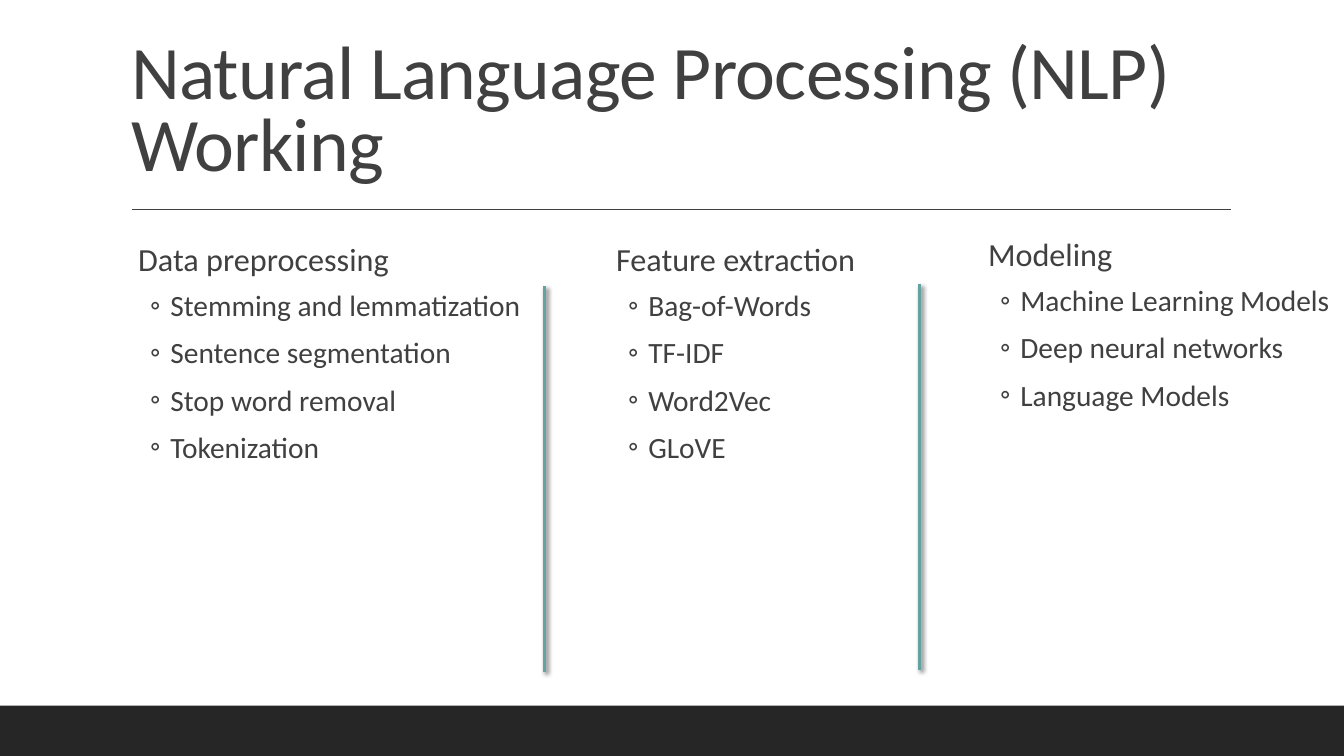
import dataclasses

import pptx
import pptx.dml.color
import pptx.enum.shapes
import pptx.enum.text
import pptx.oxml
import pptx.oxml.ns
import pptx.util
from pptx.util import Inches

Pt = pptx.util.Pt
NAMESPACE = pptx.oxml.ns.nsdecls("a")


@dataclasses.dataclass(frozen=True)
class Theme:
    font: str = "Calibri"
    ink: str = "404040"
    footer: str = "262626"
    divider: str = "62A39F"
    bullet: str = "1CADE4"
    title_size: int = 54
    heading_size: int = 23
    item_size: int = 21


THEME = Theme()

# Left, top, width, heading and items of each column
COLUMNS = [
    (1.27, 2.29, 4.22, "Data preprocessing",
     ["Stemming and lemmatization", "Sentence segmentation",
      "Stop word removal", "Tokenization"]),
    (6.01, 2.29, 4.22, "Feature extraction",
     ["Bag-of-Words", "TF-IDF", "Word2Vec", "GLoVE"]),
    (9.7, 2.24, 3.63, "Modeling",
     ["Machine Learning Models", "Deep neural networks", "Language Models"]),
]
COLUMN_HEIGHT = 4.11
DIVIDERS = [(5.4, 2.84), (9.12, 2.82)]
DIVIDER_HEIGHT = 3.83

HEADING_FORMAT = {"level": 0, "line_spacing": 1.1,
                  "space_before": Pt(12), "space_after": Pt(2)}
ITEM_FORMAT = {"level": 1, "line_spacing": 1.1,
               "space_before": Pt(2), "space_after": Pt(4)}


def rgb(value):
    return pptx.dml.color.RGBColor.from_string(value)


def set_values(target, values):
    for name, value in values.items():
        setattr(target, name, value)


def add_span(para, text, size):
    span = para.add_run()
    span.text = text
    set_values(span.font, {"name": THEME.font, "size": Pt(size)})
    span.font.color.rgb = rgb(THEME.ink)
    return span


def set_bullet(para, symbol, color, margin, hanging):
    properties = para._p.get_or_add_pPr()
    properties.set("marL", str(Inches(margin)))
    properties.set("indent", str(-Inches(hanging)))
    for markup in (
        f'<a:buClr {NAMESPACE}><a:srgbClr val="{color}"/></a:buClr>',
        f'<a:buFont {NAMESPACE} typeface="{THEME.font}"/>',
        f'<a:buChar {NAMESPACE} char="{symbol}"/>',
    ):
        properties.append(pptx.oxml.parse_xml(markup))


def add_footer_band(page):
    band = page.shapes.add_shape(
        pptx.enum.shapes.MSO_SHAPE.RECTANGLE,
        Inches(0), Inches(7), Inches(13.33), Inches(0.5))
    band.shadow.inherit = False
    band.fill.solid()
    band.fill.fore_color.rgb = rgb(THEME.footer)
    band.line.fill.background()


def add_line(page, start, end, color, width, shadow=""):
    line = page.shapes.add_connector(
        pptx.enum.shapes.MSO_CONNECTOR.STRAIGHT,
        *(Inches(value) for value in (*start, *end)))
    line.line.color.rgb = rgb(color)
    line.line.width = Pt(width)
    line._element.spPr.append(pptx.oxml.parse_xml(
        f"<a:effectLst {NAMESPACE}>{shadow}</a:effectLst>"))


def add_divider(page, left, top):
    shadow = (f'<a:outerShdw blurRad="{Pt(3)}" dist="{Pt(2)}" dir="2700000">'
              '<a:srgbClr val="000000"><a:alpha val="60000"/></a:srgbClr>'
              "</a:outerShdw>")
    add_line(page, (left, top), (left, top + DIVIDER_HEIGHT),
             THEME.divider, 2, shadow)


def format_title(page, text):
    title = page.shapes.title
    set_values(title, {"left": Inches(1.2), "top": Inches(0.31),
                       "width": Inches(11), "height": Inches(1.59)})
    set_values(title.text_frame, {
        "word_wrap": True,
        "auto_size": pptx.enum.text.MSO_AUTO_SIZE.NONE,
        "vertical_anchor": pptx.enum.text.MSO_ANCHOR.BOTTOM})
    para = title.text_frame.paragraphs[0]
    set_values(para, {"alignment": pptx.enum.text.PP_ALIGN.LEFT,
                      "line_spacing": 0.8})
    span = add_span(para, text, THEME.title_size)
    span.font._element.set("spc", "-50")


def add_column(page, left, top, width, heading, items):
    box = page.shapes.add_textbox(
        Inches(left), Inches(top), Inches(width), Inches(COLUMN_HEIGHT))
    frame = box.text_frame
    set_values(frame, {"word_wrap": True,
                       "margin_left": 0, "margin_right": 0,
                       "margin_top": Inches(0.05),
                       "margin_bottom": Inches(0.05)})
    para = frame.paragraphs[0]
    set_values(para, HEADING_FORMAT)
    set_bullet(para, " ", THEME.bullet, 0.1, 0.1)
    add_span(para, heading, THEME.heading_size)
    for item in items:
        para = frame.add_paragraph()
        set_values(para, ITEM_FORMAT)
        set_bullet(para, "◦", THEME.ink, 0.42, 0.2)
        add_span(para, item, THEME.item_size)


def main():
    deck = pptx.Presentation()
    set_values(deck, {"slide_width": Inches(13.33),
                      "slide_height": Inches(7.5)})
    page = deck.slides.add_slide(deck.slide_layouts.get_by_name("Title Only"))

    # Frame of the page
    add_footer_band(page)
    add_line(page, (1.31, 2.08), (12.21, 2.08), THEME.ink, 1)

    # Title and the three stages
    format_title(page, "Natural Language Processing (NLP) Working")
    for column in COLUMNS:
        add_column(page, *column)
    for left, top in DIVIDERS:
        add_divider(page, left, top)

    deck.save("out.pptx")


if __name__ == "__main__":
    main()
